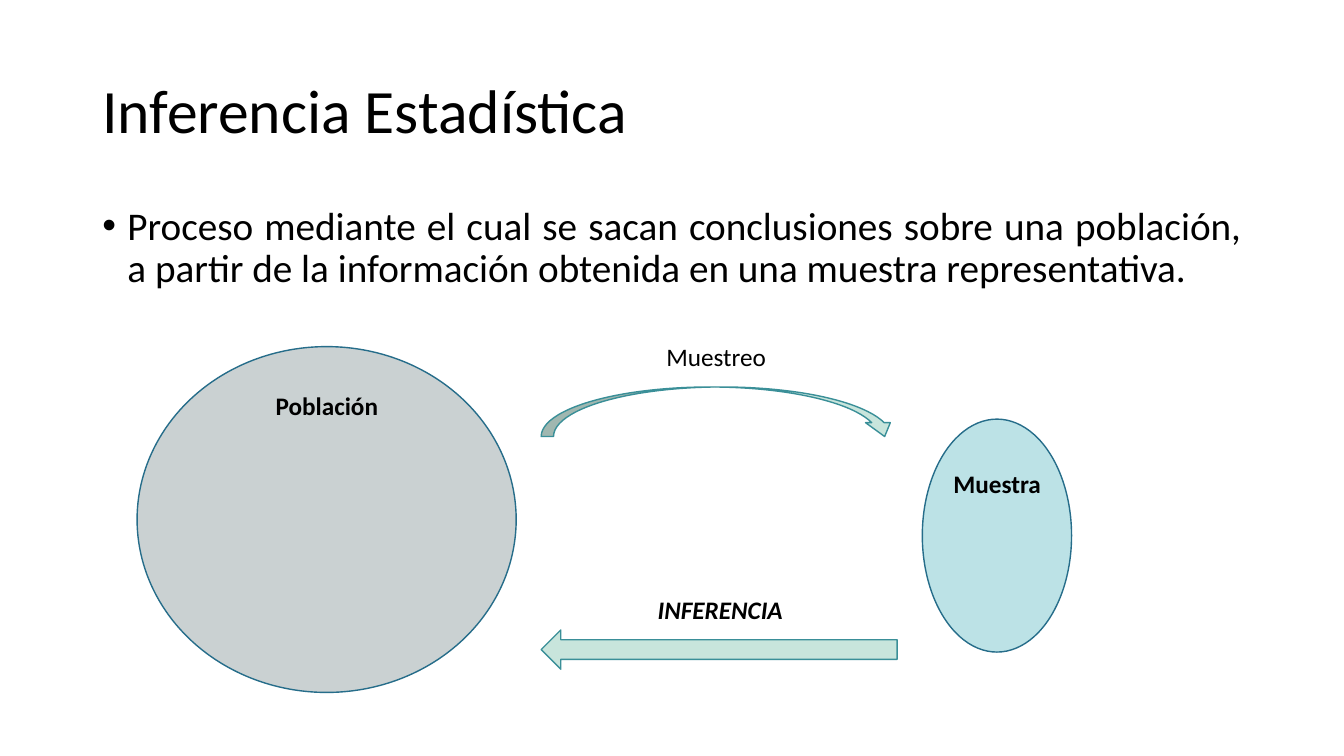
from pptx import Presentation
from pptx.dml.color import RGBColor
from pptx.enum.shapes import MSO_SHAPE as Preset
from pptx.enum.text import MSO_ANCHOR as Anchor, PP_ALIGN as Align
from pptx.oxml.ns import qn
from pptx.util import Pt
from lxml.etree import SubElement

# Content: boxes are left, top, width, height in points
TITLE = "Inferencia Estadística"
DEFINITION = ("Proceso mediante el cual se sacan conclusiones sobre una población, "
              "a partir de la información obtenida en una muestra representativa.")
MARGIN, TEXT_WIDTH = 66, 828
ARROW_LEFT, ARROW_WIDTH = 386.6, 254.2
LABEL_WIDTH, LABEL_HEIGHT = 117.4, 29

THEME = {
    "font": "Calibri", "text": "000000",
    "title": 44, "body": 28, "label": 18,
    "population": "CAD1D2", "sample": "BCE2E6", "arrow": "C8E5DC",
    "oval_line": "266D8A", "arrow_line": "3A8F98",
}

# Preset, box, fill, line, adjustments
FIGURES = [
    (Preset.OVAL, (97.9, 247.6, 270.8, 247), "population", "oval_line", ()),
    (Preset.CURVED_DOWN_ARROW, (ARROW_LEFT, 276.4, ARROW_WIDTH, 35.4),
     "arrow", "arrow_line", (0.25, 0.5, 0.28)),
    (Preset.OVAL, (658.8, 299.4, 106.6, 166.4), "sample", "oval_line", ()),
    (Preset.LEFT_ARROW, (ARROW_LEFT, 450, ARROW_WIDTH, 28), "arrow", "arrow_line", ()),
]

# Text, centre x, top, bold, italic
LABELS = [
    ("Población", 233.5, 275, True, False),
    ("Muestra", 712.3, 331.2, True, False),
    ("Muestreo", 511.6, 240.5, False, False),
    ("INFERENCIA", 514.5, 421.2, True, True),
]


def color(name):
    return RGBColor.from_string(THEME[name])


def add_text(page, text, box, size, align=Align.LEFT, anchor=Anchor.TOP,
             bold=False, italic=False, line_spacing=None, space_before=0, bullet_indent=0):
    frame = page.shapes.add_textbox(*map(Pt, box)).text_frame
    frame.word_wrap = True
    frame.vertical_anchor = anchor
    para = frame.paragraphs[0]
    para.alignment = align
    para.space_before = Pt(space_before)
    if line_spacing:
        para.line_spacing = line_spacing
    if bullet_indent:
        props = para._p.get_or_add_pPr()
        props.set("marL", str(Pt(bullet_indent)))
        props.set("indent", str(-Pt(bullet_indent)))
        SubElement(props, qn("a:buFont")).set("typeface", "Arial")
        SubElement(props, qn("a:buChar")).set("char", "•")
    span = para.add_run()
    span.text = text
    font = span.font
    font.name, font.size = THEME["font"], Pt(THEME[size])
    font.bold, font.italic = bold, italic
    font.color.rgb = color("text")


def add_figure(page, preset, box, fill, line, adjustments):
    shape = page.shapes.add_shape(preset, *map(Pt, box))
    shape.shadow.inherit = False
    shape.fill.solid()
    shape.fill.fore_color.rgb = color(fill)
    shape.line.color.rgb = color(line)
    shape.line.width = Pt(1)
    for index, value in enumerate(adjustments):
        shape.adjustments[index] = value


def main():
    deck = Presentation()
    deck.slide_width, deck.slide_height = Pt(960), Pt(540)
    page = deck.slides.add_slide(deck.slide_layouts[6])

    # Title and definition
    add_text(page, TITLE, (MARGIN, 28.8, TEXT_WIDTH, 104.4), "title",
             anchor=Anchor.MIDDLE, line_spacing=0.9)
    add_text(page, DEFINITION, (MARGIN, 144, TEXT_WIDTH, 342.7), "body",
             align=Align.JUSTIFY, line_spacing=0.9, space_before=10, bullet_indent=18)

    # Population, sample and the arrows between them
    for figure in FIGURES:
        add_figure(page, *figure)

    # Labels
    for text, center, top, bold, italic in LABELS:
        add_text(page, text, (center - LABEL_WIDTH / 2, top, LABEL_WIDTH, LABEL_HEIGHT),
                 "label", align=Align.CENTER, bold=bold, italic=italic)

    deck.save("out.pptx")


if __name__ == "__main__":
    main()
